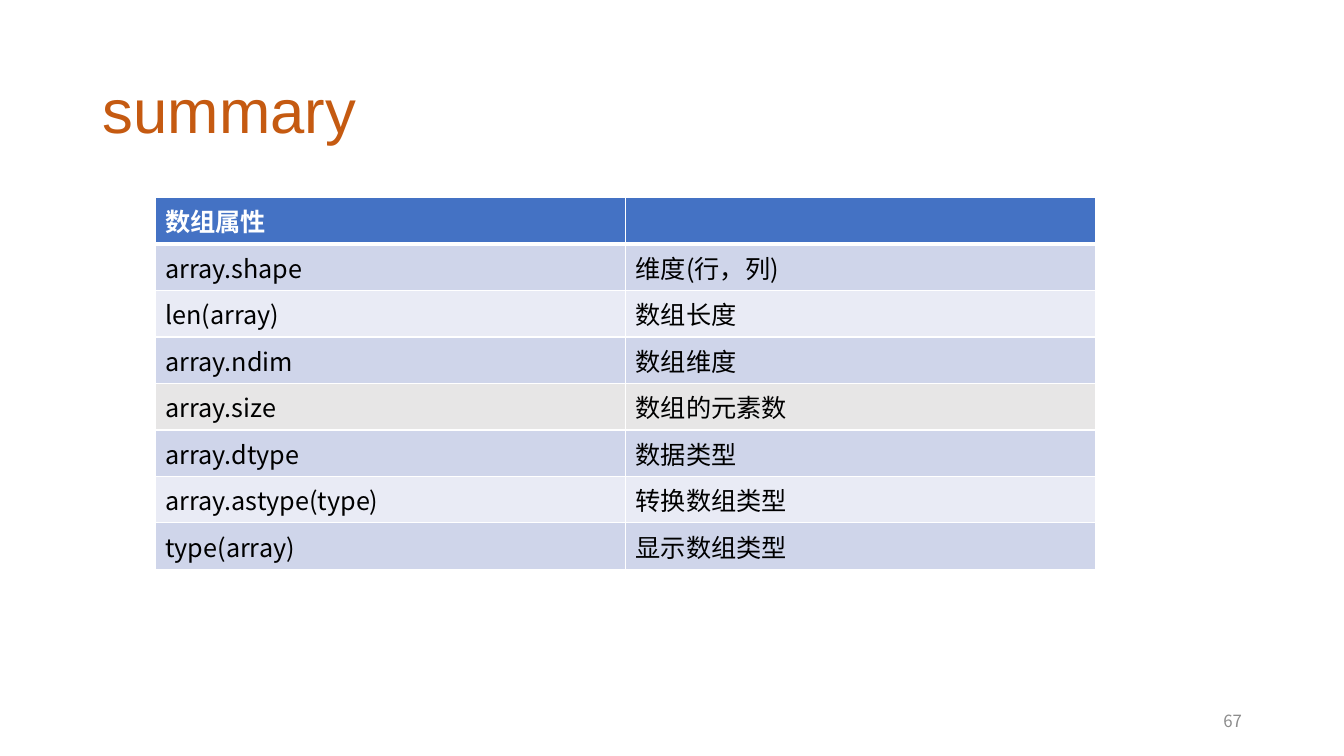
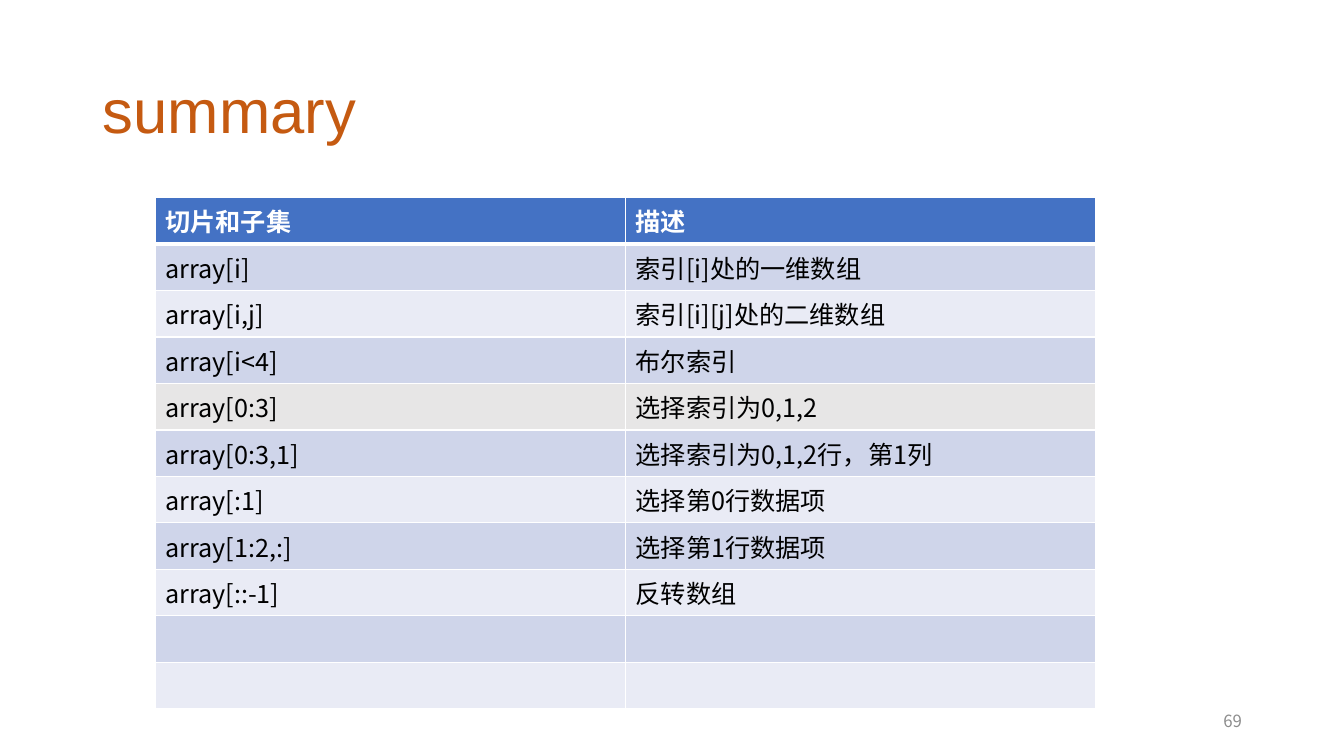
from pptx import Presentation
from pptx.dml.color import RGBColor
from pptx.enum.text import MSO_ANCHOR, PP_ALIGN
from pptx.oxml import parse_xml
from pptx.oxml.ns import nsdecls, qn
from pptx.util import Inches, Pt

CJK = "Noto Sans CJK SC"
TITLE = {"name": "Arial", "size": Pt(44), "color": "C55A11"}
NUMBER = {"name": CJK, "size": Pt(12), "color": "8C8C8C"}
HEAD = {"name": CJK, "size": Pt(18), "bold": True, "color": "FFFFFF"}
BODY = {"name": CJK, "size": Pt(18), "bold": False, "color": "000000"}
HEAD_FILL, ACCENT_FILL = "4472C4", "E7E6E6"
BANDS = ("E9EBF5", "CFD5EA")
ACCENT_ROW = 4
ROW_SHARE = 6.15

ATTRIBUTES = [
    ("数组属性", ""),
    ("array.shape", "维度(行，列)"),
    ("len(array)", "数组长度"),
    ("array.ndim", "数组维度"),
    ("array.size", "数组的元素数"),
    ("array.dtype", "数据类型"),
    ("array.astype(type)", "转换数组类型"),
    ("type(array)", "显示数组类型"),
]
SLICES = [
    ("切片和子集", "描述"),
    ("array[i]", "索引[i]处的一维数组"),
    ("array[i,j]", "索引[i][j]处的二维数组"),
    ("array[i<4]", "布尔索引"),
    ("array[0:3]", "选择索引为0,1,2"),
    ("array[0:3,1]", "选择索引为0,1,2行，第1列"),
    ("array[:1]", "选择第0行数据项"),
    ("array[1:2,:]", "选择第1行数据项"),
    ("array[::-1]", "反转数组"),
    ("", ""),
    ("", ""),
]


def rgb(value):
    """Turn a hex string into a colour."""
    return RGBColor.from_string(value)


class Deck:
    """Hold the shared style and the current slide."""

    def __init__(self):
        """Start a widescreen presentation."""
        self.prs = Presentation()
        self.prs.slide_width, self.prs.slide_height = Inches(13.333), Inches(7.5)
        self.s = None

    def box(self, left, top, width, height):
        """Convert percentages of the slide into lengths."""
        w, h = self.prs.slide_width, self.prs.slide_height
        return [int(share * side / 100)
                for share, side in zip((left, top, width, height), (w, h, w, h))]

    def text(self, tf, text, style, align=PP_ALIGN.LEFT):
        """Put one styled paragraph into a text frame."""
        p = tf.paragraphs[0]
        p.alignment = align
        if text:
            r = p.add_run()
            r.text = text
            for key, value in style.items():
                if key == "color":
                    r.font.color.rgb = rgb(value)
                else:
                    setattr(r.font, key, value)
            latin = r._r.get_or_add_rPr().find(qn("a:latin"))
            latin.addnext(parse_xml(f'<a:ea {nsdecls("a")} typeface="{style["name"]}"/>'))
        return p

    def slide(self, title, number):
        """Add a slide with its title and page number."""
        self.s = self.prs.slides.add_slide(self.prs.slide_layouts[5])
        sp = self.s.shapes.title
        sp.left, sp.top, sp.width, sp.height = self.box(6.9, 5.33, 86.25, 19.33)
        sp.text_frame.vertical_anchor = MSO_ANCHOR.MIDDLE
        self.text(sp.text_frame, title, TITLE).line_spacing = 0.9
        tf = self.s.shapes.add_textbox(*self.box(70.65, 92.67, 22.5, 5.33)).text_frame
        tf.word_wrap = True
        tf.vertical_anchor = MSO_ANCHOR.MIDDLE
        self.text(tf, str(number), NUMBER, PP_ALIGN.RIGHT)

    def border(self, cell, widths):
        """Draw white cell borders: left, right, top and bottom."""
        tcPr = cell._tc.get_or_add_tcPr()
        for side, width in zip("LRTB", widths):
            tcPr.append(parse_xml(
                f'<a:ln{side} {nsdecls("a")} w="{int(Pt(width))}"><a:solidFill>'
                f'<a:srgbClr val="FFFFFF"/></a:solidFill></a:ln{side}>'))

    def table(self, rows):
        """Add a banded table with a header row."""
        area = self.box(11.55, 26.13, 70, ROW_SHARE * len(rows))
        table = self.s.shapes.add_table(len(rows), len(rows[0]), *area).table
        for i, row in enumerate(rows):
            fill = {0: HEAD_FILL, ACCENT_ROW: ACCENT_FILL}.get(i, BANDS[i % 2])
            for j, text in enumerate(row):
                cell = table.cell(i, j)
                self.border(cell, (1, 1, 3 if i == 1 else 1, 3 if i == 0 else 1))
                cell.fill.solid()
                cell.fill.fore_color.rgb = rgb(fill)
                self.text(cell.text_frame, text, BODY if i else HEAD)


def main():
    """Build and save the summary slides."""
    deck = Deck()
    for number, rows in ((67, ATTRIBUTES), (69, SLICES)):
        deck.slide("summary", number)
        deck.table(rows)
    deck.prs.save("out.pptx")


if __name__ == "__main__":
    main()
